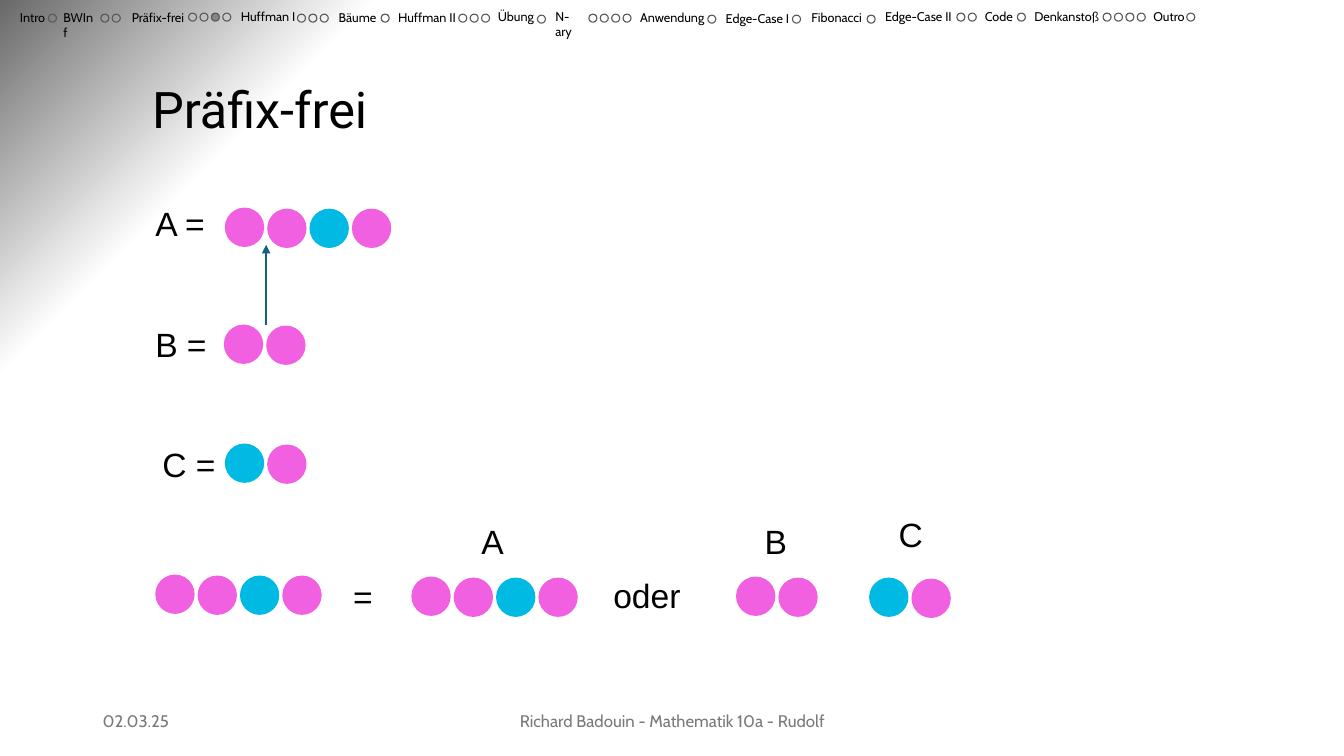
"""Build the prefix-free code slide with its navigation bar and bead words."""
from dataclasses import dataclass

from pptx import Presentation
from pptx.dml.color import RGBColor as RGB
from pptx.enum.shapes import MSO_CONNECTOR as CONN, MSO_SHAPE as SHAPE
from pptx.enum.text import MSO_ANCHOR as ANCHOR, MSO_AUTO_SIZE as AUTO, PP_ALIGN as ALIGN
from pptx.oxml import parse_xml
from pptx.oxml.ns import nsdecls, qn
from pptx.oxml.xmlchemy import OxmlElement as Element
from pptx.slide import Slide
from pptx.util import Inches, Pt


@dataclass(frozen=True)
class Theme:
    """Colours, fonts and type sizes."""
    ink: str = "000000"
    muted: str = "797979"
    pink: str = "F060E1"
    cyan: str = "00BAE4"
    arrow: str = "156082"
    ring: str = "595959"
    active: str = "0D0D0D"
    white: str = "FFFFFF"
    shade: str = "696969"
    sky: str = "A2D8F0"
    sans: str = "Cabin"
    heading: str = "Roboto"
    body: str = "Arial"
    nav_pt: float = 9
    footer_pt: float = 12
    body_pt: float = 24
    title_pt: float = 36


@dataclass(frozen=True)
class Label:
    """A text box with its type style."""
    text: str
    x: float
    y: float
    w: float
    h: float = 0.4
    font: str = Theme.body
    size: float = Theme.body_pt
    color: str = Theme.ink
    inset: bool = False
    wrap: bool = True
    grow: bool = True
    align: ALIGN = ALIGN.LEFT
    anchor: ANCHOR = ANCHOR.TOP


@dataclass(frozen=True)
class Word:
    """A code word drawn as beads, P for pink and C for cyan."""
    code: str
    x: float
    y: float


@dataclass(frozen=True)
class Section:
    """A navigation entry with its row of page dots."""
    name: str
    x: float
    y: float
    w: float
    dot_x: float
    dot_y: float
    dots: int = 1
    active: int = -1
    wrap: bool = False


T = Theme()
BEAD, BEAD_STEP, BEAD_DROP = 0.39, 0.42, 0.01
DOT, DOT_STEP = 0.08, 0.113

LABELS = [
    Label("02.03.25", 0.92, 6.95, 3, font=T.sans, size=T.footer_pt, color=T.muted,
          inset=True, grow=False, anchor=ANCHOR.MIDDLE),
    Label("Richard Badouin - Mathematik 10a - Rudolf", 4.42, 6.95, 4.5, font=T.sans,
          size=T.footer_pt, color=T.muted, inset=True, grow=False,
          align=ALIGN.CENTER, anchor=ANCHOR.MIDDLE),
    Label("Präfix-frei", 1.41, 0.73, 6.35, 0.71, T.heading, T.title_pt, inset=True),
    Label("A =", 1.54, 2.01, 0.71),
    Label("B =", 1.54, 3.21, 0.71),
    Label("C =", 1.61, 4.4, 0.59),
    Label(" =", 3.41, 5.71, 0.49),
    Label(" oder", 5.99, 5.7, 0.92, 0.42),
    Label(" A", 4.7, 5.17, 0.49),
    Label(" B", 7.49, 5.17, 0.49),
    Label(" C", 8.82, 5.1, 0.49),
]

WORDS = [
    Word("PPCP", 2.23, 2.06),
    Word("PP", 2.22, 3.22),
    Word("CP", 2.23, 4.4),
    Word("PPCP", 1.54, 5.7),
    Word("PPCP", 4.08, 5.72),
    Word("PP", 7.3, 5.72),
    Word("CP", 8.62, 5.73),
]

SECTIONS = [
    Section("Intro", 0.1, 0.05, 0.5, 0.48, 0.14, wrap=True),
    Section("BWInf", 0.53, 0.05, 0.53, 1, 0.14, 2, wrap=True),
    Section("Präfix-frei", 1.21, 0.05, 0.73, 1.87, 0.13, 4, active=2),
    Section("Huffman I", 2.29, 0.04, 0.74, 2.95, 0.14, 3),
    Section("Bäume", 3.26, 0.05, 0.59, 3.78, 0.14),
    Section("Huffman II", 3.85, 0.05, 0.78, 4.55, 0.14, 3),
    Section("Übung", 4.84, 0.04, 0.56, 5.33, 0.15),
    Section("N-ary", 5.41, 0.04, 0.5, 5.84, 0.14, 4),
    Section("Anwendung", 6.25, 0.05, 0.85, 7.02, 0.15),
    Section("Edge-Case I", 7.1, 0.06, 0.86, 7.86, 0.15),
    Section("Fibonacci", 7.95, 0.05, 0.74, 8.6, 0.15),
    Section("Edge-Case II", 8.68, 0.04, 0.89, 9.49, 0.13, 2),
    Section("Code", 9.67, 0.04, 0.5, 10.09, 0.13),
    Section("Denkanstoß", 10.16, 0.04, 0.86, 10.94, 0.13, 4),
    Section("Outro", 11.34, 0.04, 0.52, 11.77, 0.13),
]


def draw_background(s: Slide) -> None:
    """Shade the top left corner with a radial gradient."""
    s.background.fill.gradient()
    old = s.element.find(".//" + qn("a:gradFill"))
    old.getparent().replace(old, parse_xml(
        f'<a:gradFill {nsdecls("a")} rotWithShape="1"><a:gsLst>'
        f'<a:gs pos="82000"><a:srgbClr val="{T.white}"/></a:gs>'
        f'<a:gs pos="100000"><a:srgbClr val="{T.shade}"><a:alpha val="72000"/></a:srgbClr></a:gs>'
        f'<a:gs pos="100000"><a:srgbClr val="{T.sky}"/></a:gs></a:gsLst>'
        '<a:path path="circle"><a:fillToRect l="100000" t="100000"/></a:path></a:gradFill>'))


def draw_label(s: Slide, label: Label) -> None:
    """Add one text box."""
    box = s.shapes.add_textbox(*map(Inches, (label.x, label.y, label.w, label.h)))
    tf = box.text_frame
    tf.word_wrap = label.wrap
    tf.auto_size = AUTO.SHAPE_TO_FIT_TEXT if label.grow else AUTO.NONE
    tf.vertical_anchor = label.anchor
    if not label.inset:
        tf.margin_left = tf.margin_right = tf.margin_top = tf.margin_bottom = 0
    p = tf.paragraphs[0]
    p.alignment = label.align
    r = p.add_run()
    r.text = label.text
    r.font.name, r.font.size = label.font, Pt(label.size)
    r.font.color.rgb = RGB.from_string(label.color)


def draw_word(s: Slide, word: Word) -> None:
    """Add one group of beads, the first slightly higher."""
    group = s.shapes.add_group_shape()
    for i, letter in enumerate(word.code):
        y = word.y + (BEAD_DROP if i else 0)
        sp = group.shapes.add_shape(
            SHAPE.OVAL, *map(Inches, (word.x + i * BEAD_STEP, y, BEAD, BEAD)))
        sp.shadow.inherit = False
        sp.fill.solid()
        sp.fill.fore_color.rgb = RGB.from_string(T.pink if letter == "P" else T.cyan)
        sp.line.fill.background()


def draw_section(s: Slide, section: Section) -> None:
    """Add one navigation entry and its page dots."""
    draw_label(s, Label(section.name, section.x, section.y, section.w, 0.25, T.sans,
                        T.nav_pt, inset=True, wrap=section.wrap))
    for i in range(section.dots):
        sp = s.shapes.add_shape(SHAPE.OVAL, *map(Inches, (
            section.dot_x + i * DOT_STEP, section.dot_y, DOT, DOT)))
        sp.shadow.inherit = False
        sp.line.color.rgb = RGB.from_string(T.ring)
        sp.line.width = Pt(0.8)
        if i == section.active:
            sp.fill.solid()
            sp.fill.fore_color.rgb = RGB.from_string(T.active)
            alpha = Element("a:alpha")
            alpha.set("val", "35000")
            sp.element.spPr.find(qn("a:solidFill"))[0].append(alpha)
        else:
            sp.fill.background()


def draw_arrow(s: Slide) -> None:
    """Add the arrow from word B up to word A."""
    line = s.shapes.add_connector(CONN.STRAIGHT, *map(Inches, (2.64, 3.22, 2.64, 2.43)))
    line.line.color.rgb = RGB.from_string(T.arrow)
    line.line.width = Pt(1.5)
    head = Element("a:tailEnd")
    head.set("type", "triangle")
    line.line._get_or_add_ln().append(head)
    line.element.spPr.append(Element("a:effectLst"))


def main() -> None:
    """Build and save the slide."""
    prs = Presentation()
    prs.slide_width, prs.slide_height = Inches(13.33), Inches(7.5)
    s = prs.slides.add_slide(prs.slide_layouts[6])
    draw_background(s)
    for label in LABELS:
        draw_label(s, label)
    for word in WORDS:
        draw_word(s, word)
    draw_arrow(s)
    for section in SECTIONS:
        draw_section(s, section)
    prs.save("out.pptx")


if __name__ == "__main__":
    main()
